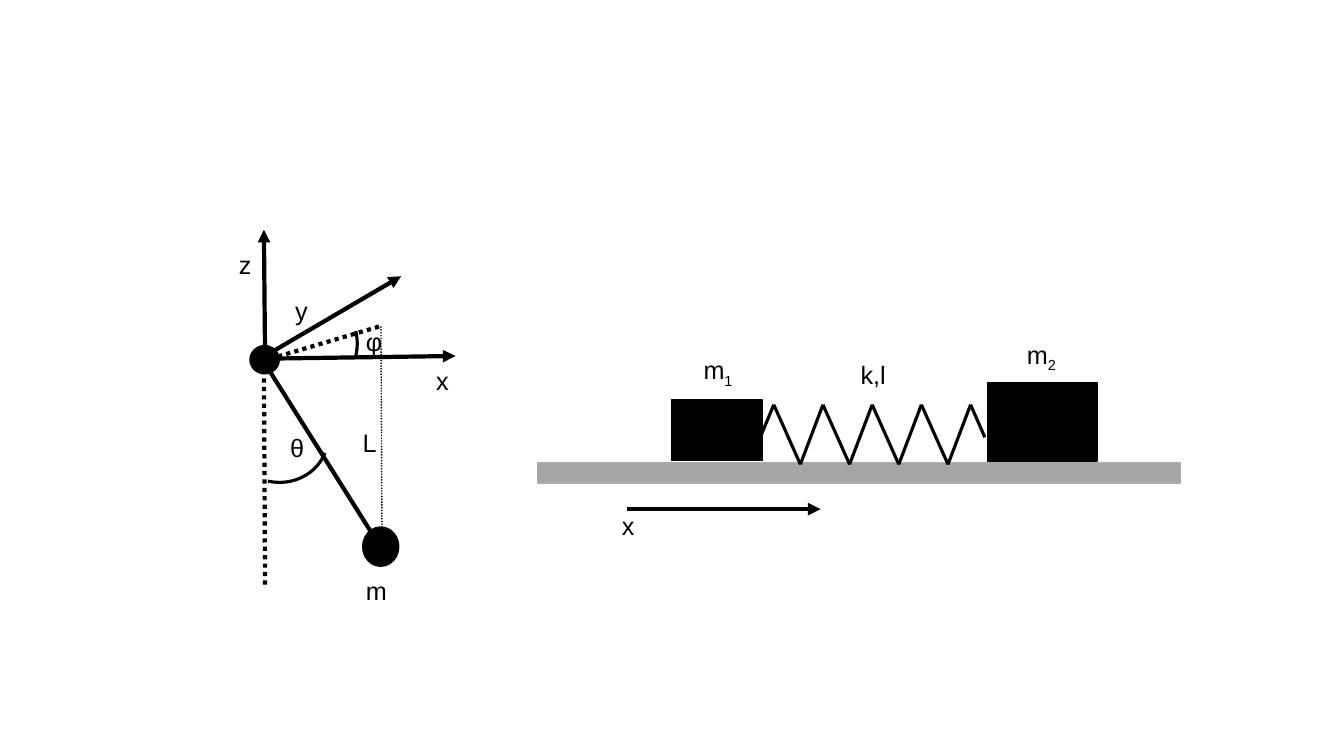
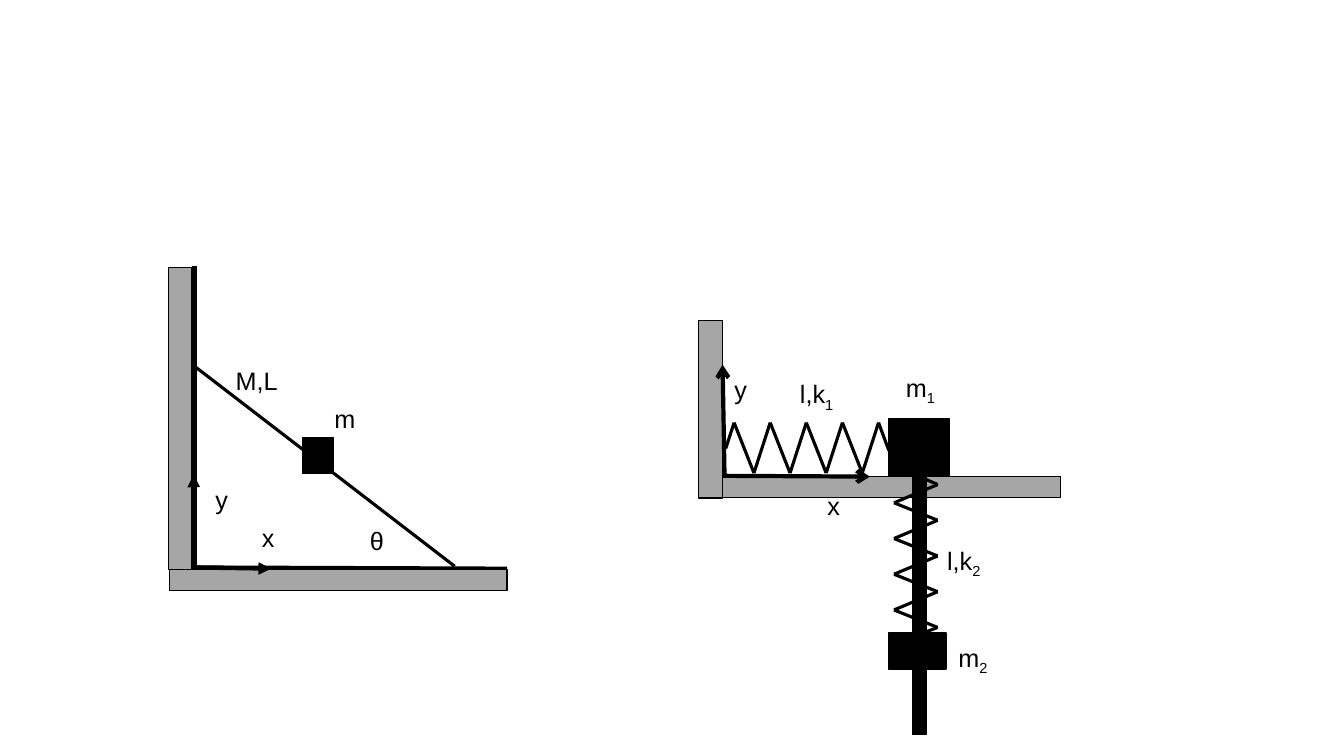
"""Four mechanics sketches on two slides: pendulum, springs, ladder."""
import dataclasses
import itertools
import typing

import lxml.etree
import pptx
import pptx.dml.color
import pptx.enum.dml
import pptx.enum.shapes
import pptx.enum.text
import pptx.oxml.ns
import pptx.util

Cm, Pt = pptx.util.Cm, pptx.util.Pt
SHAPES = pptx.enum.shapes.MSO_SHAPE
DOTTED = pptx.enum.dml.MSO_LINE.ROUND_DOT
BLACK, GREY, PALE_GREY = "000000", "A6A6A6", "AFABAB"
THIN, MEDIUM, THICK = 1, 2.25, 3
Point = tuple[float, float]
LABEL_HEIGHT, LETTER_WIDTH = 1.02, 0.84
LABEL_WIDTHS = {"m": 1.04, "m1": 1.3, "m2": 1.3, "k,l": 1.14, "M,L": 1.57,
                "l,k1": 1.4, "l,k2": 1.4}
FRAME_FORMAT = {"word_wrap": False,
                "auto_size": pptx.enum.text.MSO_AUTO_SIZE.SHAPE_TO_FIT_TEXT}
FONT_FORMAT = {"name": "Arial", "size": Pt(18)}


@dataclasses.dataclass(frozen=True)
class Body:
    """A filled solid: mass, wall, floor or pivot."""
    left: float
    top: float
    width: float
    height: float
    fill: str = BLACK
    outline: str = BLACK
    kind: typing.Any = SHAPES.RECTANGLE


@dataclasses.dataclass(frozen=True)
class AngleArc:
    """An open arc that marks an angle."""
    left: float
    top: float
    rotation: float
    first_adjustment: float
    second_adjustment: float = 209.39
    width: float = 2.44
    height: float = 2.59


@dataclasses.dataclass(frozen=True)
class Line:
    """A straight line, with an arrowhead at its end if head is given."""
    start: Point
    end: Point
    width: float = THICK
    dash: typing.Any = None
    head: str = ""


@dataclasses.dataclass(frozen=True)
class Spring:
    """A zigzag whose peaks and valleys advance by a fixed step."""
    start: Point
    first_peak: Point
    first_valley: Point
    step: Point
    end: Point
    peaks: int = 5


@dataclasses.dataclass(frozen=True)
class Label:
    """A letter with an optional subscript."""
    text: str
    left: float
    top: float
    subscript: str = ""
    wrap: bool = False


def color(value: str) -> pptx.dml.color.RGBColor:
    """Turn a hex string into a colour."""
    return pptx.dml.color.RGBColor.from_string(value)


def apply_format(target: typing.Any, values: dict[str, typing.Any]) -> None:
    """Set every attribute named in values on target."""
    for name, value in values.items():
        setattr(target, name, value)


def set_outline(line: typing.Any, hex_color: str, width: float) -> None:
    """Give an outline a solid colour and a width in points."""
    line.color.rgb = color(hex_color)
    line.width = Pt(width)


def draw_body(group: typing.Any, body: Body) -> None:
    """Draw a filled solid."""
    shape = group.shapes.add_shape(body.kind, Cm(body.left), Cm(body.top),
                                   Cm(body.width), Cm(body.height))
    shape.shadow.inherit = False
    shape.fill.solid()
    shape.fill.fore_color.rgb = color(body.fill)
    set_outline(shape.line, body.outline, THIN)


def draw_arc(group: typing.Any, arc: AngleArc) -> None:
    """Draw an angle mark."""
    shape = group.shapes.add_shape(SHAPES.ARC, Cm(arc.left), Cm(arc.top),
                                   Cm(arc.width), Cm(arc.height))
    shape.shadow.inherit = False
    shape.fill.background()
    shape.adjustments[0] = arc.first_adjustment
    shape.adjustments[1] = arc.second_adjustment
    shape.rotation = arc.rotation
    set_outline(shape.line, BLACK, MEDIUM)


def draw_line(group: typing.Any, line: Line) -> None:
    """Draw a line or an arrow without a shadow."""
    connector = group.shapes.add_connector(
        pptx.enum.shapes.MSO_CONNECTOR.STRAIGHT,
        *(Cm(value) for value in line.start + line.end))
    set_outline(connector.line, BLACK, line.width)
    if line.dash is not None:
        connector.line.dash_style = line.dash
    qualified = pptx.oxml.ns.qn
    properties = connector._element.spPr
    if line.head:
        lxml.etree.SubElement(properties.find(qualified("a:ln")),
                              qualified("a:tailEnd"), type=line.head)
    lxml.etree.SubElement(properties, qualified("a:effectLst"))


def draw_spring(group: typing.Any, spring: Spring) -> None:
    """Draw a spring as lines between its turning points."""
    def advance(point: Point, index: int) -> Point:
        """Move a point by a number of steps."""
        return (point[0] + index * spring.step[0],
                point[1] + index * spring.step[1])

    turns = [advance(point, index) for index in range(spring.peaks)
             for point in (spring.first_peak, spring.first_valley)]
    points = [spring.start, *turns[:-1], spring.end]
    for start, end in itertools.pairwise(points):
        draw_line(group, Line(start, end, MEDIUM))


def draw_label(group: typing.Any, label: Label) -> None:
    """Write a letter and its subscript."""
    width = LABEL_WIDTHS.get(label.text + label.subscript, LETTER_WIDTH)
    box = group.shapes.add_textbox(Cm(label.left), Cm(label.top),
                                   Cm(width), Cm(LABEL_HEIGHT))
    apply_format(box.text_frame, FRAME_FORMAT | {"word_wrap": label.wrap})
    paragraph = box.text_frame.paragraphs[0]
    for text, baseline in ((label.text, ""), (label.subscript, "-25000")):
        if not text:
            continue
        run = paragraph.add_run()
        run.text = text
        apply_format(run.font, FONT_FORMAT)
        run.font.color.rgb = color(BLACK)
        if baseline:
            run._r.get_or_add_rPr().set("baseline", baseline)


DRAWERS = {Body: draw_body, AngleArc: draw_arc, Line: draw_line,
           Spring: draw_spring, Label: draw_label}

PENDULUM = [
    Body(6.3, 8.71, 0.74, 0.71, kind=SHAPES.OVAL),
    Line((6.68, 14.73), (6.65, 9.07), dash=DOTTED),
    AngleArc(5.77, 9.63, 112.3, 162),
    Label("L", 8.89, 10.64),
    Line((6.68, 8.99), (6.65, 5.79), head="triangle"),
    Line((6.6, 9.04), (11.48, 8.97), head="triangle"),
    Label("y", 7.19, 7.32),
    Label("x", 10.74, 9.07),
    Body(9.14, 13.28, 0.91, 0.99, kind=SHAPES.OVAL),
    Line((9.58, 13.77), (6.65, 9.12)),
    Label("m", 8.97, 14.38),
    Label("z", 5.77, 6.17),
    Line((6.73, 8.94), (10.11, 6.96), head="triangle"),
    Label("θ", 7.06, 10.77),
    Line((9.55, 8.23), (6.71, 9.07), dash=DOTTED),
    Label("φ", 8.97, 8.1, wrap=True),
    Line((9.63, 14.07), (9.6, 8.2), THIN, DOTTED),
    AngleArc(6.55, 7.42, 25.4, 190.4),
]

COUPLED_MASSES = [
    Body(13.54, 11.66, 16.21, 0.51, GREY, PALE_GREY),
    Body(16.92, 10.08, 2.29, 1.52),
    Body(24.88, 9.64, 2.77, 1.98),
    Spring((19.18, 10.97), (19.5, 10.2), (20.17, 11.7), (1.24, 0), (24.82, 11.02)),
    Line((15.8, 12.83), (20.68, 12.83), head="triangle"),
    Label("x", 15.42, 12.73),
    Label("m", 17.48, 8.81, "1"),
    Label("m", 25.63, 8.43, "2"),
    Label("k,l", 21.44, 8.92),
]

LADDER = [
    Line((4.9, 14.35), (4.9, 6.71)),
    Line((12.78, 14.33), (4.93, 14.3)),
    Body(7.62, 11.02, 0.79, 0.91),
    Line((11.46, 14.27), (4.93, 9.25), MEDIUM),
    Body(4.27, 14.35, 8.51, 0.53, GREY),
    Body(4.25, 6.74, 0.58, 7.62, GREY),
    Label("θ", 9.07, 13.11),
    Label("x", 6.35, 13.03),
    Label("y", 5.18, 12.07),
    Line((4.9, 14.3), (6.83, 14.33), head="triangle"),
    Line((4.9, 14.25), (4.88, 11.96), head="triangle"),
    Label("M,L", 5.69, 9.07),
    Label("m", 8.18, 10.03),
]

HANGING_MASS = [
    Body(17.6, 8.08, 0.61, 4.47, GREY),
    Body(18.21, 12.01, 8.51, 0.53, GREY),
    Line((18.21, 11.99), (21.92, 12.01), head="arrow"),
    Label("x", 20.6, 12.22),
    Label("y", 18.26, 9.3),
    Line((18.26, 12.04), (18.21, 9.19), head="arrow"),
    Spring((23.06, 11.96), (23.63, 12.21), (22.53, 12.67), (0, 0.9), (23.01, 16.05)),
    Body(22.4, 10.54, 1.52, 1.47),
    Body(22.99, 12.01, 0.36, 6.5),
    Body(22.39, 15.95, 1.45, 0.91),
    Spring((18.29, 11.3), (18.5, 10.65), (19, 11.92), (0.91, 0), (22.4, 11.35)),
    Label("m", 22.58, 9.25, "1"),
    Label("m", 23.9, 16.05, "2"),
    Label("l,k", 19.91, 9.42, "1"),
    Label("l,k", 23.62, 13.61, "2"),
]


def main() -> None:
    """Build both slides, one group for each sketch."""
    presentation = pptx.Presentation()
    apply_format(presentation, {"slide_width": Cm(33.87), "slide_height": Cm(19.05)})
    for sketches in ((PENDULUM, COUPLED_MASSES), (LADDER, HANGING_MASS)):
        slide = presentation.slides.add_slide(presentation.slide_layouts[6])
        for sketch in sketches:
            group = slide.shapes.add_group_shape()
            for element in sketch:
                DRAWERS[type(element)](group, element)
    presentation.save("out.pptx")


main()
